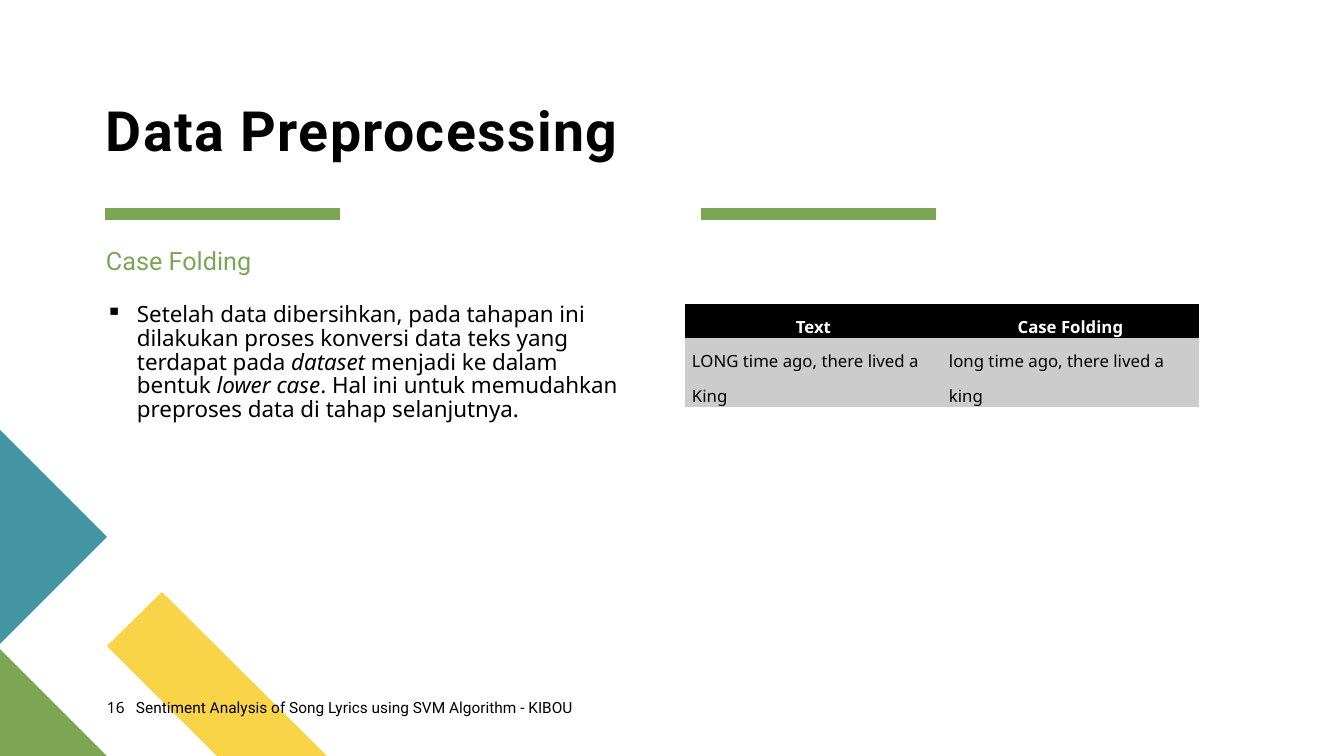
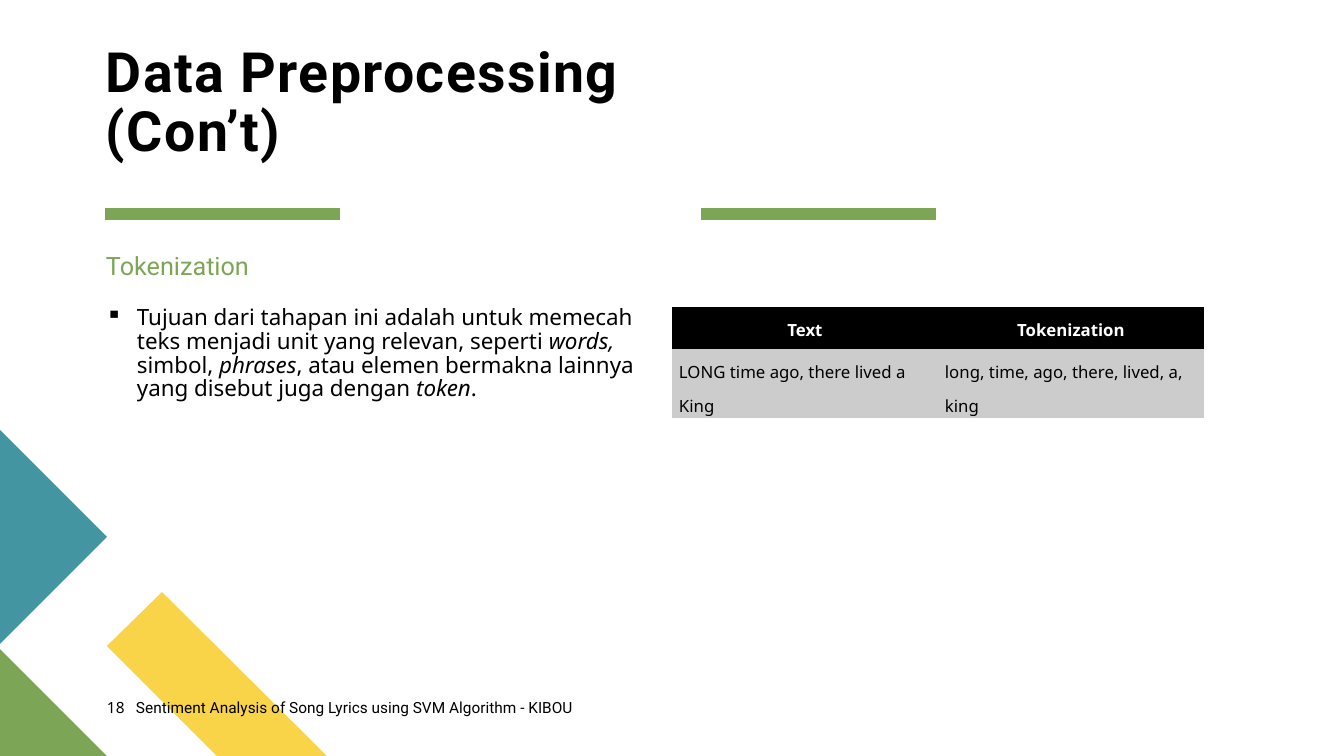
from dataclasses import dataclass

from lxml.etree import SubElement
from pptx import Presentation
from pptx.dml.color import RGBColor
from pptx.enum.shapes import MSO_CONNECTOR
from pptx.enum.text import MSO_ANCHOR, MSO_AUTO_SIZE, PP_ALIGN
from pptx.oxml.ns import qn
from pptx.util import Pt

SCALE = 914400 / 100.8  # EMU per pixel


@dataclass(frozen=True)
class Theme:
    black: RGBColor = RGBColor.from_string("000000")
    white: RGBColor = RGBColor.from_string("FFFFFF")
    grey: RGBColor = RGBColor.from_string("CCCCCC")
    green: RGBColor = RGBColor.from_string("7CA655")
    teal: RGBColor = RGBColor.from_string("4495A2")
    yellow: RGBColor = RGBColor.from_string("F9D448")
    heading_font: str = "Roboto"
    body_font: str = "Noto Sans"
    title_size: float = 39.6
    subtitle_size: float = 18
    body_size: float = 16
    table_size: float = 12
    footer_size: float = 11


T = Theme()
NO_TABLE_STYLE = "{2D5ABB26-0587-4C30-8999-92F81FD0307C}"
LEFT = 106
FOOTER_TOP = 698
FOOTER = "Sentiment Analysis of Song Lyrics using SVM Algorithm - KIBOU"

CORNER = [
    (T.yellow, [(327, 756), (217, 756), (107, 646), (162, 592)]),
    (T.green, [(107, 756), (0, 756), (0, 649)]),
    (T.teal, [(0, 430), (107, 537), (0, 644)]),
]
RULE_LEFTS, RULE_TOP, RULE_WIDTH = (105, 701), 214, 235

# Asterisks in the body enclose italics
SLIDES = [
    dict(
        number="16", title="Data Preprocessing",
        subtitle="Case Folding", subtitle_top=249,
        body="Setelah data dibersihkan, pada tahapan ini dilakukan proses "
             "konversi data teks yang terdapat pada *dataset* menjadi ke dalam "
             "bentuk *lower case*. Hal ini untuk memudahkan preproses data di "
             "tahap selanjutnya.",
        body_box=(LEFT, 304, 524, 138),
        table_at=(685, 304), col_width=257, row_heights=(34, 69),
        rows=[("Text", "Case Folding"),
              ("LONG time ago, there lived a King",
               "long time ago, there lived a king")],
    ),
    dict(
        number="18", title="Data Preprocessing (Con’t)",
        subtitle="Tokenization", subtitle_top=254,
        body="Tujuan dari tahapan ini adalah untuk memecah teks menjadi unit "
             "yang relevan, seperti *words,* simbol, *phrases*, atau elemen "
             "bermakna lainnya yang disebut juga dengan *token*.",
        body_box=(LEFT, 307, 532, 122),
        table_at=(672, 307), col_width=266, row_heights=(42, 69),
        rows=[("Text", "Tokenization"),
              ("LONG time ago, there lived a King",
               "long, time, ago, there, lived, a, king")],
    ),
]


def px(*values):
    return [round(v * SCALE) for v in values]


def put_text(sp, box, text, font, size, color, bold=False, spacing=1.0):
    """Place a text shape and write its text, with *italics*."""
    sp.left, sp.top, sp.width, sp.height = px(*box)
    tf = sp.text_frame
    tf.word_wrap = True
    tf.auto_size = MSO_AUTO_SIZE.NONE
    tf.margin_left = tf.margin_right = tf.margin_top = tf.margin_bottom = 0
    p = tf.paragraphs[0]
    p.alignment = PP_ALIGN.LEFT
    p.line_spacing = spacing
    for i, part in enumerate(text.split("*")):
        r = p.add_run()
        r.text = part
        r.font.name, r.font.size, r.font.bold = font, Pt(size), bold
        r.font.italic = i % 2 == 1
        r.font.color.rgb = color
    return p


prs = Presentation()
prs.slide_width, prs.slide_height = px(1344, 756)

for content in SLIDES:
    s = prs.slides.add_slide(prs.slide_layouts[5])
    shapes = s.shapes

    # Corner decoration
    for color, points in CORNER:
        builder = shapes.build_freeform(*points[0], scale=SCALE)
        builder.add_line_segments(points[1:], close=True)
        sp = builder.convert_to_shape()
        sp.shadow.inherit = False
        sp.fill.solid()
        sp.fill.fore_color.rgb = color
        sp.line.fill.background()

    # Green rules
    for x in RULE_LEFTS:
        rule = shapes.add_connector(
            MSO_CONNECTOR.STRAIGHT, *px(x, RULE_TOP, x + RULE_WIDTH, RULE_TOP))
        rule.line.color.rgb = T.green
        rule.line.width = Pt(8)
        SubElement(rule._element.spPr, qn("a:effectLst"))

    # Title
    p = put_text(shapes.title, (LEFT, 97, 660, 67), content["title"],
                 T.heading_font, T.title_size, T.black, True, 0.9)
    shapes.title.text_frame.vertical_anchor = MSO_ANCHOR.BOTTOM
    p.runs[0].font._element.set("spc", "100")

    # Subtitle
    put_text(shapes.add_textbox(0, 0, 0, 0),
             (LEFT, content["subtitle_top"], 530, 44), content["subtitle"],
             T.heading_font, T.subtitle_size, T.green, spacing=0.9)

    # Bulleted body
    p = put_text(shapes.add_textbox(0, 0, 0, 0), content["body_box"],
                 content["body"], T.body_font, T.body_size, T.black,
                 spacing=0.88)
    pPr = p._p.get_or_add_pPr()
    indent = px(31)[0]
    pPr.set("marL", str(indent))
    pPr.set("indent", str(-indent))
    SubElement(pPr, qn("a:buChar"), char="▪")

    # Table
    rows, heights = content["rows"], content["row_heights"]
    width = content["col_width"]
    table = shapes.add_table(
        len(rows), len(rows[0]),
        *px(*content["table_at"], width * len(rows[0]), sum(heights))).table
    table.horz_banding = False
    table._tbl.tblPr.find(qn("a:tableStyleId")).text = NO_TABLE_STYLE
    for column in table.columns:
        column.width = px(width)[0]
    for i, (row, height) in enumerate(zip(rows, heights)):
        header = i == 0
        table.rows[i].height = px(height)[0]
        for j, text in enumerate(row):
            cell = table.cell(i, j)
            cell.fill.solid()
            cell.fill.fore_color.rgb = T.black if header else T.grey
            cell.margin_left = cell.margin_right = px(7)[0]
            cell.margin_top = cell.margin_bottom = 0
            p = cell.text_frame.paragraphs[0]
            p.text = text
            p.alignment = PP_ALIGN.CENTER if header else PP_ALIGN.LEFT
            p.line_spacing = 1.5
            p.space_after = Pt(10)
            font = p.runs[0].font
            font.name, font.size, font.bold = T.body_font, Pt(T.table_size), header
            font.color.rgb = T.white if header else T.black

    # Footer
    for x, w, text, font in ((107, 27, content["number"], T.body_font),
                             (136, 445, FOOTER, T.heading_font)):
        put_text(shapes.add_textbox(0, 0, 0, 0), (x, FOOTER_TOP, w, 27), text,
                 font, T.footer_size, T.black)

prs.save("out.pptx")
